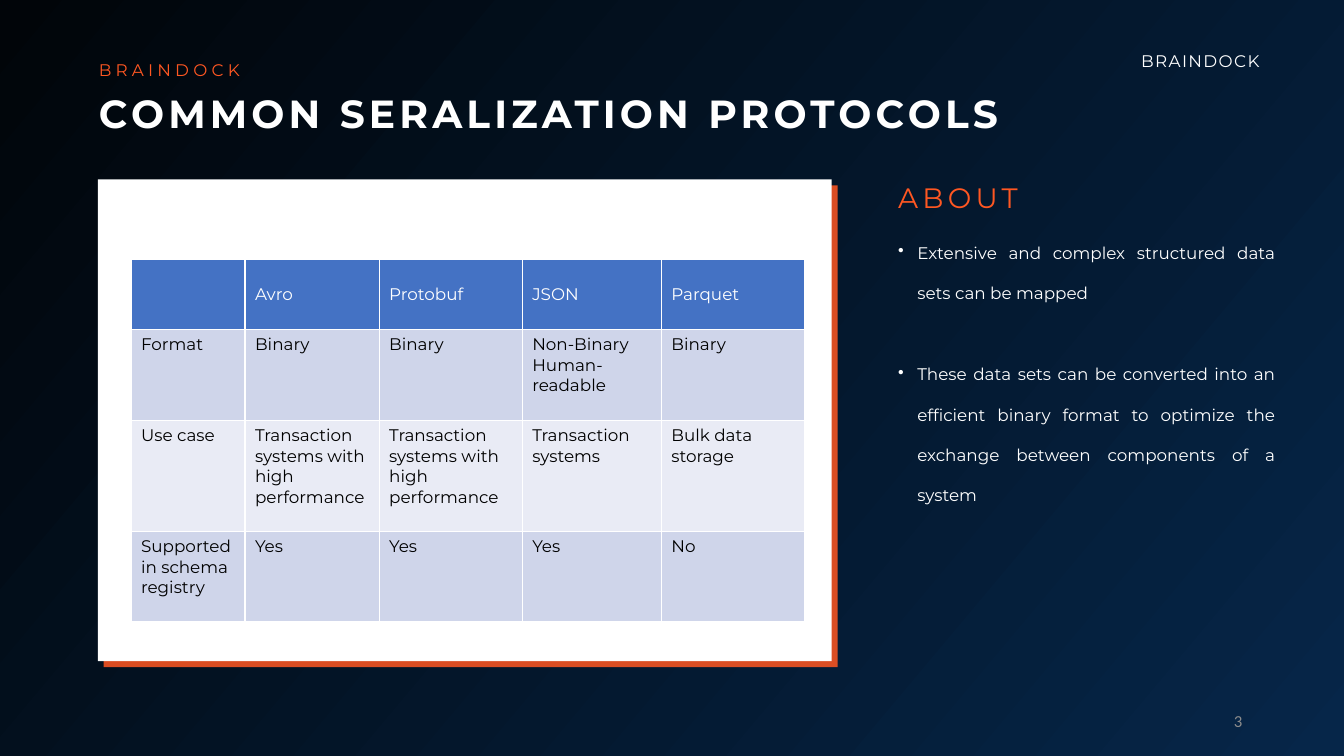
from dataclasses import dataclass

from lxml.etree import SubElement
from pptx import Presentation
from pptx.dml.color import RGBColor
from pptx.enum.shapes import MSO_SHAPE as Preset
from pptx.enum.text import MSO_ANCHOR as Anchor, PP_ALIGN as Align
from pptx.oxml.ns import qn
from pptx.util import Inches, Pt


@dataclass(frozen=True)
class Theme:
    """Colours, fonts and type sizes of the slide."""
    night: str = "010509"
    navy: str = "062649"
    white: str = "FFFFFF"
    black: str = "000000"
    orange: str = "FF5722"
    grey: str = "8C8C8C"
    header: str = "4472C4"
    bands: tuple = ("CFD5EA", "E9EBF5")
    font: str = "Montserrat"
    number_font: str = "Calibri"
    body: int = 12
    heading: int = 20
    title: int = 28


THEME = Theme()
WIDTH, HEIGHT = Inches(13.33), Inches(7.5)
BRAND = "BRAINDOCK"
COLUMN_SHARES = (8.48, 9.98, 10.65, 10.35, 10.65)
ROW_SHARES = (9.33, 12, 14.67, 12)
PROTOCOLS = (
    ("", "Avro", "Protobuf", "JSON", "Parquet"),
    ("Format", "Binary", "Binary", "Non-Binary\nHuman-readable", "Binary"),
    ("Use case", "Transaction systems with high performance",
     "Transaction systems with high performance", "Transaction systems", "Bulk data storage"),
    ("Supported in schema registry", "Yes", "Yes", "Yes", "No"),
)
ABOUT = (
    "Extensive and complex structured data sets can be mapped",
    "These data sets can be converted into an efficient binary format to optimize "
    "the exchange between components of a system",
)


def across(share):
    """Turn a percentage of the slide width into a length."""
    return round(WIDTH * share / 100)


def down(share):
    """Turn a percentage of the slide height into a length."""
    return round(HEIGHT * share / 100)


def place(left, top, width, height):
    """Turn percentages of the slide into a position and a size."""
    return across(left), down(top), across(width), down(height)


def rgb(colour):
    """Read a colour from its hexadecimal name."""
    return RGBColor.from_string(colour)


def write(frame, text, size=THEME.body, colour=THEME.white, font=THEME.font, bold=False,
          tracking=0, align=Align.LEFT, line=1.0, gap=0, bullet=None):
    """Fill a text frame with one formatted paragraph per line of text."""
    for index, words in enumerate(text.split("\n")):
        paragraph = frame.add_paragraph() if index else frame.paragraphs[0]
        paragraph.alignment = align
        paragraph.line_spacing = line
        if index and gap:
            paragraph.space_before = Pt(gap)
        if bullet:
            properties = paragraph._p.get_or_add_pPr()
            properties.set("marL", str(Inches(0.19)))
            properties.set("indent", str(-Inches(0.19)))
            SubElement(properties, qn("a:buChar"), char=bullet)
        run = paragraph.add_run()
        run.text = words
        run.font.size, run.font.name, run.font.bold = Pt(size), font, bold
        run.font.color.rgb = rgb(colour)
        if tracking:
            run._r.get_or_add_rPr().set("spc", str(tracking * 100))


def add_text(slide, text, box, anchor=Anchor.TOP, wrap=True, inset=True, **style):
    """Add a text box in the given box of slide shares."""
    frame = slide.shapes.add_textbox(*place(*box)).text_frame
    frame.word_wrap, frame.vertical_anchor = wrap, anchor
    if not inset:
        frame.margin_left = frame.margin_top = frame.margin_right = frame.margin_bottom = 0
    write(frame, text, **style)


def paint_background(slide):
    """Paint the diagonal gradient behind the slide."""
    fill = slide.background.fill
    fill.gradient()
    fill.gradient_angle = 320
    for stop, colour in zip(fill.gradient_stops, (THEME.night, THEME.navy)):
        stop.color.rgb = rgb(colour)


def add_card(slide, box):
    """Add a white card with a hard orange shadow."""
    card = slide.shapes.add_shape(Preset.RECTANGLE, *place(*box))
    card.fill.solid()
    card.fill.fore_color.rgb = rgb(THEME.white)
    card.line.fill.background()
    card.shadow.inherit = False
    effects = card._element.spPr.find(qn("a:effectLst"))
    shadow = SubElement(effects, qn("a:outerShdw"), blurRad="0", dist=str(Pt(6)),
                        dir="2700000", algn="tl", rotWithShape="0")
    colour = SubElement(shadow, qn("a:srgbClr"), val=THEME.orange)
    SubElement(colour, qn("a:alpha"), val="85000")


def style_cell(cell, fill):
    """Give a table cell white borders and a fill."""
    properties = cell._tc.get_or_add_tcPr()
    for side in ("lnL", "lnR", "lnT", "lnB"):
        border = SubElement(properties, qn(f"a:{side}"), w=str(Pt(1)))
        solid = SubElement(border, qn("a:solidFill"))
        SubElement(solid, qn("a:srgbClr"), val=THEME.white)
    cell.fill.solid()
    cell.fill.fore_color.rgb = rgb(fill)


def add_protocol_table(slide, left, top):
    """Add the protocol comparison with a header and banded rows."""
    box = place(left, top, sum(COLUMN_SHARES), sum(ROW_SHARES))
    table = slide.shapes.add_table(len(ROW_SHARES), len(COLUMN_SHARES), *box).table
    table.first_row = table.horz_banding = False
    for column, share in zip(table.columns, COLUMN_SHARES):
        column.width = across(share)
    for index, (row, share, texts) in enumerate(zip(table.rows, ROW_SHARES, PROTOCOLS)):
        row.height = down(share)
        for cell, text in zip(row.cells, texts):
            style_cell(cell, THEME.bands[(index - 1) % 2] if index else THEME.header)
            cell.vertical_anchor = Anchor.TOP if index else Anchor.MIDDLE
            if text:
                write(cell.text_frame, text, colour=THEME.black if index else THEME.white)


def main():
    """Build and save the slide."""
    presentation = Presentation()
    presentation.slide_width, presentation.slide_height = WIDTH, HEIGHT
    slide = presentation.slides.add_slide(presentation.slide_layouts[6])
    paint_background(slide)
    add_card(slide, (7.28, 23.73, 54.61, 63.73))
    add_text(slide, BRAND, (84.17, 3.33, 10.88, 5.87), line=2.0, tracking=1)
    add_text(slide, "\n".join(ABOUT), (66.09, 28.8, 29.56, 38.27), align=Align.JUSTIFY,
             line=2.0, gap=29, bullet="•")
    add_text(slide, "ABOUT", (66.09, 23.2, 10.95, 5.87), wrap=False, size=THEME.heading,
             colour=THEME.orange, tracking=3)
    add_text(slide, "COMMON SERALIZATION PROTOCOLS", (7.35, 13.07, 67.82, 5.07), wrap=False,
             inset=False, size=THEME.title, bold=True, tracking=3, line=0.8)
    add_text(slide, BRAND, (7.35, 8.4, 10.65, 2.13), anchor=Anchor.BOTTOM, wrap=False,
             inset=False, colour=THEME.orange, tracking=3, line=0.8)
    add_text(slide, "3", (70.67, 92.67, 22.51, 5.33), anchor=Anchor.MIDDLE, align=Align.RIGHT,
             colour=THEME.grey, font=THEME.number_font)
    add_protocol_table(slide, 9.75, 34.27)
    presentation.save("out.pptx")


if __name__ == "__main__":
    main()
